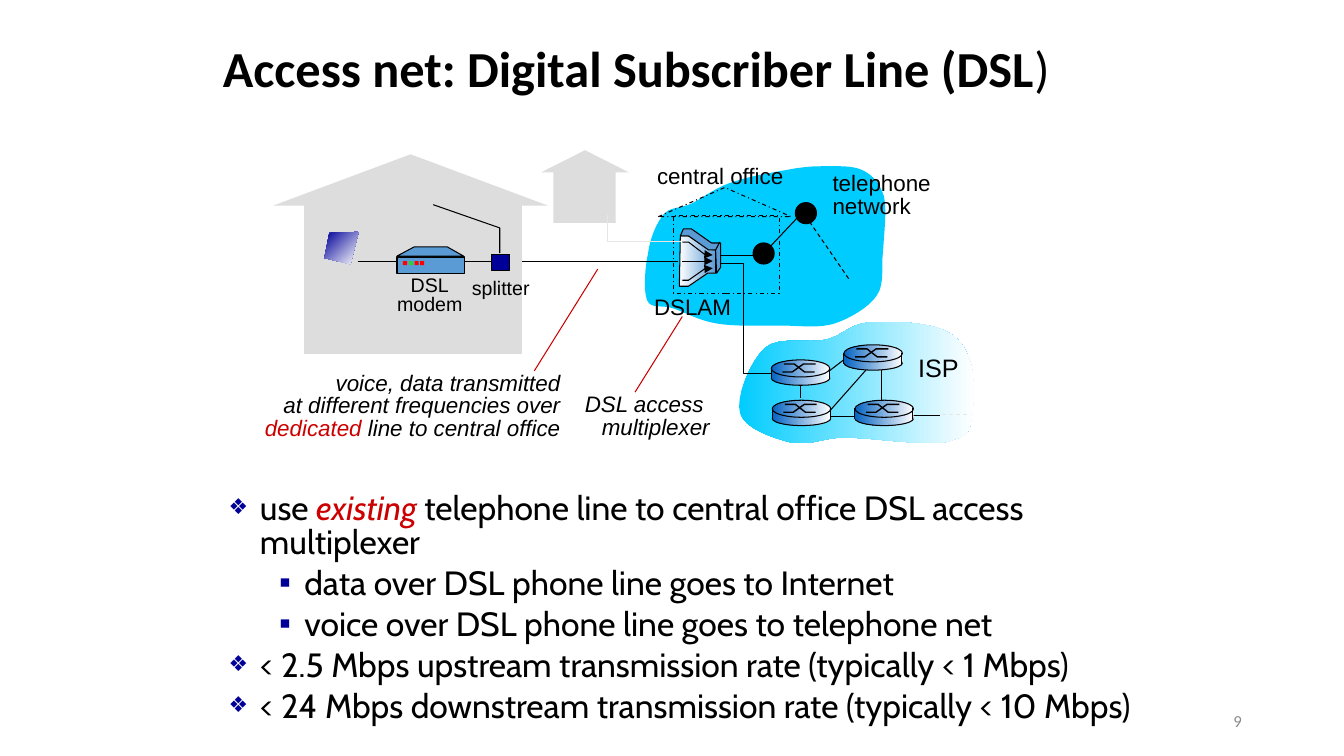
from dataclasses import dataclass
from lxml import etree
from pptx import Presentation
from pptx.dml.color import RGBColor
from pptx.enum import dml, shapes, text
from pptx.oxml.ns import qn
from pptx.util import Pt

C = {"black": "000000", "sky": "00CCFF", "white": "FFFFFF", "router": "0563C1",
     "device": "5B9BD5", "house": "DDDDDD", "pale": "E7E6E6", "red": "CC0000",
     "navy": "000099", "grey": "8C8C8C", "led_red": "FF0000", "led_green": "33CC33"}
RECT, OVAL, ROOF = (shapes.MSO_SHAPE.RECTANGLE, shapes.MSO_SHAPE.OVAL,
                    shapes.MSO_SHAPE.ISOSCELES_TRIANGLE)
DASH, DASH_DOT = dml.MSO_LINE.DASH, dml.MSO_LINE.DASH_DOT
LEFT, CENTER, RIGHT = text.PP_ALIGN.LEFT, text.PP_ALIGN.CENTER, text.PP_ALIGN.RIGHT

# Bézier outlines: a start point, then rows of two control points and an end point
OFFICE_CLOUD = (108.7, 2.2), [
    (97.9, 4.3, 77.8, 7.2, 65.5, 11.5), (52.6, 15.1, 43.2, 23, 34.6, 27.4),
    (25.9, 31, 19.4, 29.5, 14.4, 35.3), (9.4, 41.8, 5, 51.8, 3.6, 62.6),
    (1.4, 72.7, 0, 89.3, 2.9, 96.5), (5.8, 103, 13.7, 99.4, 21.6, 102.2),
    (30.2, 105.1, 39.6, 110.9, 52.6, 113), (64.8, 115.2, 85, 114.5, 98.6, 114.5),
    (113, 114.5, 125.3, 116.6, 136.8, 113), (147.6, 109.4, 161.3, 101.5, 167, 92.9),
    (172.8, 84.2, 169.9, 72.7, 171.4, 61.2), (172.1, 49, 174.2, 32.4, 172.1, 22.3),
    (169.2, 13, 164.2, 7.2, 157, 3.6), (149.8, 0, 138.2, 0.7, 130.3, 0.7),
    (122.4, 0.7, 119.5, 0.7, 108.7, 2.2)]
ISP_CLOUD = (95, 1.4), [
    (81.4, 2.9, 77, 10.8, 64.8, 13.7), (52.6, 16.6, 31.7, 10.8, 21.6, 19.4),
    (11.5, 28.1, 0, 54.7, 3.6, 66.2), (6.5, 77, 28.1, 84.2, 40.3, 87.1),
    (52.6, 90, 62.6, 83.5, 77.8, 83.5), (92.9, 83.5, 118.1, 87.1, 131, 87.1),
    (144, 87.1, 150.5, 87.8, 156.2, 85), (162.7, 82.8, 167, 82.1, 168.5, 72.7),
    (170.6, 64.1, 171.4, 41.8, 168.5, 31), (164.9, 20.2, 160.6, 11.5, 148.3, 6.5),
    (136.1, 1.4, 113, 0, 95, 1.4)]


def rgb(name):
    return RGBColor.from_string(C[name])


def paint(sp, fill=None, line=None, width=0.75, dash=None, angle=0):
    """Fill is a colour name, a pair of names for a gradient, or None."""
    sp.shadow.inherit = False
    if isinstance(fill, tuple):
        sp.fill.gradient()
        sp.fill.gradient_angle = angle
        for stop, name in zip(sp.fill.gradient_stops, fill):
            stop.color.rgb = rgb(name)
    elif fill:
        sp.fill.solid()
        sp.fill.fore_color.rgb = rgb(fill)
    else:
        sp.fill.background()
    if line:
        stroke(sp, line, width, dash)
    else:
        sp.line.fill.background()


def stroke(sp, color, width, dash):
    sp.line.color.rgb = rgb(color)
    sp.line.width = Pt(width)
    if dash:
        sp.line.dash_style = dash


def curve_points(start, rows, steps=8):
    pts = [start]
    for x1, y1, x2, y2, x3, y3 in rows:
        x0, y0 = pts[-1]
        for t in (i / steps for i in range(1, steps + 1)):
            a, b, c, d = (1 - t) ** 3, 3 * t * (1 - t) ** 2, 3 * t * t * (1 - t), t ** 3
            pts.append((a * x0 + b * x1 + c * x2 + d * x3,
                        a * y0 + b * y1 + c * y2 + d * y3))
    return pts


@dataclass
class Region:
    """Part of the slide whose contents are placed from its top left corner."""
    s: object
    x: float
    y: float

    def sub(self, x, y):
        return Region(self.s, self.x + x, self.y + y)

    def at(self, x, y):
        return Pt(self.x + x), Pt(self.y + y)

    def shape(self, kind, x, y, w, h, **look):
        paint(self.s.shapes.add_shape(kind, *self.at(x, y), Pt(w), Pt(h)), **look)

    def outline(self, pts, closed=True, **look):
        pts = [self.at(*p) for p in pts]
        builder = self.s.shapes.build_freeform(*pts[0])
        builder.add_line_segments(pts[1:], close=closed)
        sp = builder.convert_to_shape()
        paint(sp, **look)
        return sp

    def wire(self, *pts, color="black", width=0.75, dash=None, arrow=False):
        if len(pts) == 2:
            sp = self.s.shapes.add_connector(shapes.MSO_CONNECTOR.STRAIGHT,
                                             *self.at(*pts[0]), *self.at(*pts[1]))
            stroke(sp, color, width, dash)
            etree.SubElement(sp.element.spPr, qn("a:effectLst"))
        else:
            sp = self.outline(pts, False, line=color, width=width, dash=dash)
        if arrow:
            ln = sp.element.spPr.find(qn("a:ln"))
            etree.SubElement(ln, qn("a:tailEnd"), type="triangle")

    def label(self, x, y, w, h, *lines, size=16, align=LEFT, spacing=1.0,
              italic=False, wrap=False, color="black", font="Arial"):
        tf = self.s.shapes.add_textbox(*self.at(x, y), Pt(w), Pt(h)).text_frame
        tf.word_wrap = wrap
        tf.text = "\n".join(lines)
        for p in tf.paragraphs:
            p.alignment, p.line_spacing = align, spacing
            for r in p.runs:
                r.font.name, r.font.size, r.font.italic = font, Pt(size), italic
                r.font.color.rgb = rgb(color)
        return tf


def router(g):
    metal, w = ("router", "white"), 41.8
    g.shape(OVAL, 0, 7.9, w, 10.2, fill=metal, line="black")
    g.shape(RECT, 0, 6.8, w, 6.5, fill=metal)
    g.shape(OVAL, 0, 0, w, 12.2, fill=metal, line="black")
    g.wire((8, 8.6), (15, 8.6), (23, 2.9), (31.7, 2.9), width=1)
    g.wire((9, 2.9), (16.5, 2.9), (23.8, 8.6), (31, 8.6), width=1)
    for x in (0, w - 0.4):
        g.wire((x, 5.8), (x, 13.7))


def isp(g):
    g.outline(curve_points(*ISP_CLOUD), fill=("sky", "white"))
    for x1, y1, x2, y2 in [(65.5, 37.4, 78.5, 27.4), (46.8, 46.8, 46.8, 55.4),
                           (65.5, 67, 93.6, 35.3), (104.4, 35.3, 104.4, 56.9),
                           (67.7, 68.4, 87.8, 68.4), (126.7, 67.7, 146.2, 67.7)]:
        g.wire((x1, y1), (x2, y2))
    for corner in [(77.8, 17.3), (85.7, 56.9), (25.9, 28.1), (26.6, 56.9)]:
        router(g.sub(*corner))
    g.wire((147.6, 67), (167, 67), color="pale", dash=DASH)
    g.label(123.8, 19.4, 43.2, 28.8, "ISP", size=18)


def dslam(g):
    g.outline([(0, 41), (0.7, 5), (6.5, 5), (20.9, 14.4), (25.9, 15.1), (25.9, 31.7),
               (20.2, 31.7), (6.5, 41)], fill=("white", "device"), line="black")
    g.outline([(0.7, 5), (2.9, 0), (8.6, 0), (23, 10.1), (29.5, 10.1), (29.5, 27.4),
               (26.6, 31.7), (25.9, 15.1), (20.9, 15.1), (6.5, 5)],
              fill="device", line="black")
    g.wire((28.8, 9.4), (25.9, 15.1))
    g.wire((2.2, 23), (23.8, 23), arrow=True)
    for y1, y2 in [(9.4, 18.7), (36.7, 28.1)]:
        g.wire((2.2, y1), (6.5, y1), (18.7, y2), (23.8, y2), arrow=True)


def central_office(g):
    g.outline(curve_points(*OFFICE_CLOUD), fill="sky")
    for x, y in [(78.5, 55.4), (108.7, 26.6)]:
        g.shape(OVAL, x, y, 15.1, 15.1, fill="black", line="black")
    g.wire((85, 64.1), (110.2, 37.4))
    g.wire((115.9, 36), (147.6, 82.1), dash=DASH)
    g.shape(RECT, 21.6, 36, 75.6, 55.4, line="black", dash=DASH_DOT)
    g.label(-20.9, -2.2, 151.9, 22.3, "central office", align=CENTER, spacing=0.8, wrap=True)
    g.wire((-127.4, 68.4), (25.2, 68.4))
    g.label(128.2, 2.2, 85, 40.3, "telephone", "network", spacing=0.85)
    dslam(g.sub(25.9, 45.4))
    g.label(0.7, 87.8, 74.9, 26.6, "DSLAM", wrap=True)
    g.wire((55.4, 64.1), (85, 64.1))
    g.wire((55.4, 69.8), (72, 69.8), (72, 149), (92.2, 149))
    g.shape(ROOF, 10.8, 15.8, 95, 20.9, line="black", dash=DASH_DOT)


def neighbour_house(g):
    g.shape(RECT, 8.6, 13, 44.6, 38.9, fill="house")
    g.shape(ROOF, 0, 0, 62.6, 15.8, fill="house")
    g.wire((47.5, 46.1), (47.5, 65.5), (100.1, 65.5), color="pale")


def home(g):
    g.shape(RECT, 22.3, 32.4, 155.5, 110.2, fill="house")
    g.shape(ROOF, 0, 0, 196.6, 36.7, fill="house")
    g.wire((60.5, 76.3), (89.3, 76.3))
    g.label(81.4, 84.2, 61.2, 34.6, "DSL", "modem", size=14, align=CENTER, spacing=0.8)
    g.label(134.6, 86.4, 56.2, 20.9, "splitter", size=14, align=CENTER, spacing=0.8)
    g.shape(RECT, 88.6, 73.4, 48.2, 11.5, fill="device", line="black")
    for i, led in enumerate(["led_red", "led_green", "led_red", "led_red"]):
        g.shape(RECT, 92.9 + 4.1 * i, 76.3, 2.9, 2.9, fill=led)
    g.outline([(88.6, 72.7), (100.8, 66.2), (124.6, 66.2), (136.1, 72.7)],
              fill="device", line="black")
    g.shape(RECT, 156.2, 71.3, 13, 11.5, fill="navy", line="black")
    g.wire((162, 70.6), (162, 52.6), (114.5, 36))
    g.wire((156.2, 76.3), (137.5, 76.3))
    g.outline([(61.2, 55.4), (40.3, 56.2), (36.7, 74.2), (55.4, 78.5)],
              fill=("navy", "white"), angle=315)


def callouts(g):
    look = dict(align=RIGHT, spacing=0.85, italic=True)
    tf = g.label(0, 0, 226, 56.2, "voice, data transmitted",
                 "at different frequencies over", "dedicated ", **look)
    p = tf.paragraphs[2]
    p.runs[0].font.color.rgb = rgb("red")
    r = p.add_run()
    r.text = "line to central office"
    r.font.name, r.font.size, r.font.italic = "Arial", Pt(16), True
    r.font.color.rgb = rgb("black")
    g.wire((200.2, 2.2), (245.6, -70.6), color="red")
    g.wire((272.2, 17.3), (306, -36.7), color="red")
    g.label(228.3, 15.1, 104.4, 40.3, "DSL access ", "multiplexer", **look)


def place(ph, x, y, w, h):
    ph.left, ph.top, ph.width, ph.height = Pt(x), Pt(y), Pt(w), Pt(h)
    ph.text_frame.auto_size = text.MSO_AUTO_SIZE.NONE
    return ph.text_frame


def title(s, *box):
    tf = place(s.shapes.title, *box)
    tf.vertical_anchor = text.MSO_ANCHOR.MIDDLE
    p = tf.paragraphs[0]
    p.alignment, p.line_spacing = LEFT, 0.9
    for part, bold in [("Access net: Digital Subscriber Line (DSL", True), (")", False)]:
        r = p.add_run()
        r.text = part
        r.font.name, r.font.size, r.font.bold = "Calibri", Pt(36), bold
        r.font.color.rgb = rgb("black")


def bullets(s, *box):
    tf = place(s.placeholders[1], *box)
    tf.vertical_anchor = text.MSO_ANCHOR.TOP
    items = [(0, ["use ", "existing",
                  " telephone line to central office DSL access multiplexer"]),
             (1, ["data over DSL phone line goes to Internet"]),
             (1, ["voice over DSL phone line goes to telephone net"]),
             (0, ["< 2.5 Mbps upstream transmission rate (typically < 1 Mbps)"]),
             (0, ["< 24 Mbps downstream transmission rate (typically < 10 Mbps)"])]
    styles = [(58.3, -22.3, "❖", "65000"), (90, -18, "▪", "100000")]
    for i, (level, parts) in enumerate(items):
        p = tf.add_paragraph() if i else tf.paragraphs[0]
        p.level = level
        margin, indent, char, size = styles[level]
        pPr = p._p.get_or_add_pPr()
        pPr.set("marL", str(Pt(margin)))
        pPr.set("indent", str(Pt(indent)))
        color = etree.SubElement(pPr, qn("a:buClr"))
        etree.SubElement(color, qn("a:srgbClr"), val=C["navy"])
        etree.SubElement(pPr, qn("a:buSzPct"), val=size)
        etree.SubElement(pPr, qn("a:buChar"), char=char)
        p.alignment, p.line_spacing = LEFT, 0.85
        p.space_before = Pt(4.8 if i else 0)
        for part in parts:
            r = p.add_run()
            r.text = part
            r.font.name, r.font.size = "Cabin", Pt(24)
            r.font.italic = part == "existing"
            r.font.color.rgb = rgb("red" if part == "existing" else "black")


def main():
    prs = Presentation()
    prs.slide_width, prs.slide_height = Pt(960), Pt(540)
    s = prs.slides.add_slide(prs.slide_layouts[1])
    title(s, 152, 18, 612, 65.5)
    bullets(s, 120.2, 348.5, 718, 180)
    isp(Region(s, 525, 229))
    central_office(Region(s, 459.4, 118.1))
    neighbour_house(Region(s, 386.6, 107.3))
    callouts(Region(s, 181.4, 262.8))
    home(Region(s, 195, 110.2))
    Region(s, 678.2, 500.4).label(0, 3.5, 216, 28.8, "9", size=12, align=RIGHT, wrap=True,
                                  color="grey", font="Calibri")
    prs.save("out.pptx")


if __name__ == "__main__":
    main()
